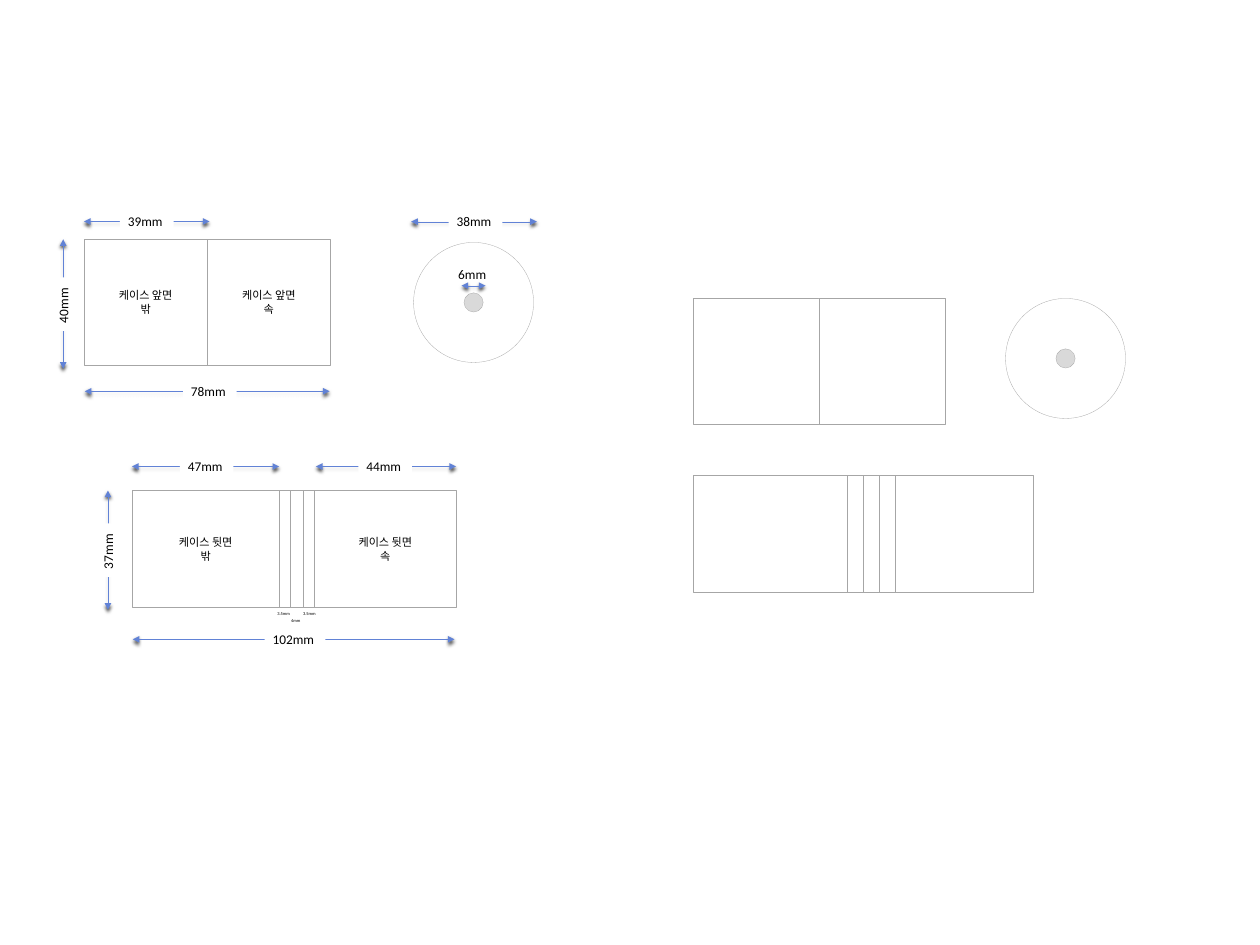
from lxml import etree
from pptx import Presentation
from pptx.dml.color import RGBColor
from pptx.enum.shapes import MSO_CONNECTOR, MSO_SHAPE
from pptx.enum.text import MSO_ANCHOR, MSO_AUTO_SIZE, PP_ALIGN
from pptx.oxml.ns import qn
from pptx.util import Pt

RECTANGLE, OVAL = MSO_SHAPE.RECTANGLE, MSO_SHAPE.OVAL
STRAIGHT = MSO_CONNECTOR.STRAIGHT
MIDDLE, TOP = MSO_ANCHOR.MIDDLE, MSO_ANCHOR.TOP
CENTER, LEFT = PP_ALIGN.CENTER, PP_ALIGN.LEFT
FIT_TEXT = MSO_AUTO_SIZE.SHAPE_TO_FIT_TEXT

WHITE, BLACK, GREY, HOLE_GREY, BLUE = "FFFFFF", "000000", "A6A6A6", "D9D9D9", "6182D6"
HAIRLINE = 0.25
DISC_SIZE, HOLE_SIZE = 108, 17.28
LABEL_HEIGHT = 21.6


def color(hex_value):
    return RGBColor.from_string(hex_value)


def write(shape, lines, size, align, font="Calibri"):
    frame = shape.text_frame
    for index, line in enumerate(lines):
        para = frame.paragraphs[0] if index == 0 else frame.add_paragraph()
        para.alignment = align
        span = para.add_run()
        span.text = line
        span.font.name = font
        span.font.size = Pt(size)
        span.font.color.rgb = color(BLACK)


def add_outline(page, kind, left, top, width, height, fill=WHITE, line=GREY):
    shape = page.shapes.add_shape(kind, Pt(left), Pt(top), Pt(width), Pt(height))
    shape.shadow.inherit = False
    shape.fill.solid()
    shape.fill.fore_color.rgb = color(fill)
    if line:
        shape.line.color.rgb = color(line)
        shape.line.width = Pt(HAIRLINE)
    else:
        shape.line.fill.background()
    return shape


def add_note(page, text, left, top, width, height, size, wrap):
    box = page.shapes.add_textbox(Pt(left), Pt(top), Pt(width), Pt(height))
    box.text_frame.word_wrap = wrap
    box.text_frame.auto_size = FIT_TEXT
    write(box, [text], size, LEFT)


def add_arrow(page, x1, y1, x2, y2):
    """Double-headed measuring line with a soft shadow below it."""
    arrow = page.shapes.add_connector(STRAIGHT, Pt(x1), Pt(y1), Pt(x2), Pt(y2))
    arrow.line.color.rgb = color(BLUE)
    arrow.line.width = Pt(HAIRLINE)
    properties = arrow._element.spPr
    line = properties.find(qn("a:ln"))
    for end in ("a:headEnd", "a:tailEnd"):
        etree.SubElement(line, qn(end), type="triangle")
    effects = etree.SubElement(properties, qn("a:effectLst"))
    shadow = etree.SubElement(effects, qn("a:outerShdw"), blurRad=str(Pt(3)),
                              dist=str(Pt(2)), dir="5400000", rotWithShape="0")
    shade = etree.SubElement(shadow, qn("a:srgbClr"), val=BLACK)
    etree.SubElement(shade, qn("a:alpha"), val="75000")


def add_dimension(page, text, x1, y1, x2, y2, width=48.24, shift=0):
    """Measuring line with its label over the middle, turned when vertical."""
    add_arrow(page, x1, y1, x2, y2)
    left = (x1 + x2 - width) / 2 + shift
    top = (y1 + y2 - LABEL_HEIGHT) / 2
    label = add_outline(page, RECTANGLE, left, top, width, LABEL_HEIGHT, line=None)
    label.rotation = 270 if x1 == x2 else 0
    label.text_frame.word_wrap = False
    label.text_frame.auto_size = FIT_TEXT
    label.text_frame.vertical_anchor = TOP
    write(label, [text], 12, LEFT)


def add_sheet(page, left, top, widths, height):
    """Row of touching panels; returns the panels."""
    panels = []
    for width in widths:
        panels.append(add_outline(page, RECTANGLE, left, top, width, height))
        left += width
    return panels


def label_panel(panel, lines, font="Calibri"):
    panel.text_frame.word_wrap = True
    panel.text_frame.vertical_anchor = MIDDLE
    write(panel, lines, 10, CENTER, font)


def add_disc(page, left, top):
    inset = (DISC_SIZE - HOLE_SIZE) / 2
    add_outline(page, OVAL, left, top, DISC_SIZE, DISC_SIZE)
    add_outline(page, OVAL, left + inset, top + inset, HOLE_SIZE, HOLE_SIZE, HOLE_GREY)


def add_measured_front(page, left, top):
    outside, inside = add_sheet(page, left, top, [110.88] * 2, 113.04)
    label_panel(outside, ["케이스 앞면", "밖"])
    label_panel(inside, ["케이스 앞면", "속"])
    add_dimension(page, "39mm", left, top - 16, left + 113, top - 16)
    add_dimension(page, "40mm", left - 18.7, top, left - 18.7, top + 116.6)
    add_dimension(page, "78mm", left + 0.7, top + 136.8, left + 221, top + 136.8, shift=2.5)


def add_measured_disc(page, left, top):
    add_disc(page, left, top)
    add_note(page, "6mm", left + 33.1, top + 18, 41.76, LABEL_HEIGHT, 12, False)
    add_dimension(page, "38mm", left - 2.2, top - 18.7, left + 110.9, top - 18.7, shift=1.4)
    add_arrow(page, left + 43.2, top + 38.9, left + 64.8, top + 38.9)


def add_measured_back(page, left, top):
    panels = add_sheet(page, left, top, [132.6, 10.1, 11.5, 10.1, 127.4], 105.12)
    label_panel(panels[0], ["케이스 뒷면", "밖"])
    label_panel(panels[-1], ["케이스 뒷면", "속"], "Cabin")
    add_dimension(page, "102mm", left + 0.7, top + 133.9, left + 290.2, top + 133.9, 54.72, 1.4)
    add_dimension(page, "47mm", left, top - 21.6, left + 132.5, top - 21.6, shift=1)
    add_dimension(page, "44mm", left + 165.6, top - 21.6, left + 291.6, top - 21.6, shift=-0.7)
    add_dimension(page, "37mm", left - 21.6, top, left - 21.6, top + 107.3)
    for text, x, y in (("3.5mm", 123.8, 105.1), ("4mm", 136.1, 110.9), ("3.5mm", 146.9, 105.1)):
        add_note(page, text, left + x, top + y, 29.5, 12.2, 4, True)


def add_blank_set(page, left, top):
    add_sheet(page, left, top, [113.4] * 2, 113.04)
    add_disc(page, left + 281.5, top)
    add_sheet(page, left, top + 159.1, [139, 14.4, 14.4, 14.4, 124.1], 105.12)


def main():
    deck = Presentation()
    deck.slide_width, deck.slide_height = Pt(1134), Pt(850.32)
    page = deck.slides.add_slide(deck.slide_layouts[6])
    add_measured_front(page, 75.6, 215.28)
    add_measured_disc(page, 372.24, 218.16)
    add_measured_back(page, 118.8, 441.36)
    add_blank_set(page, 623.52, 268.56)
    deck.save("out.pptx")


if __name__ == "__main__":
    main()
